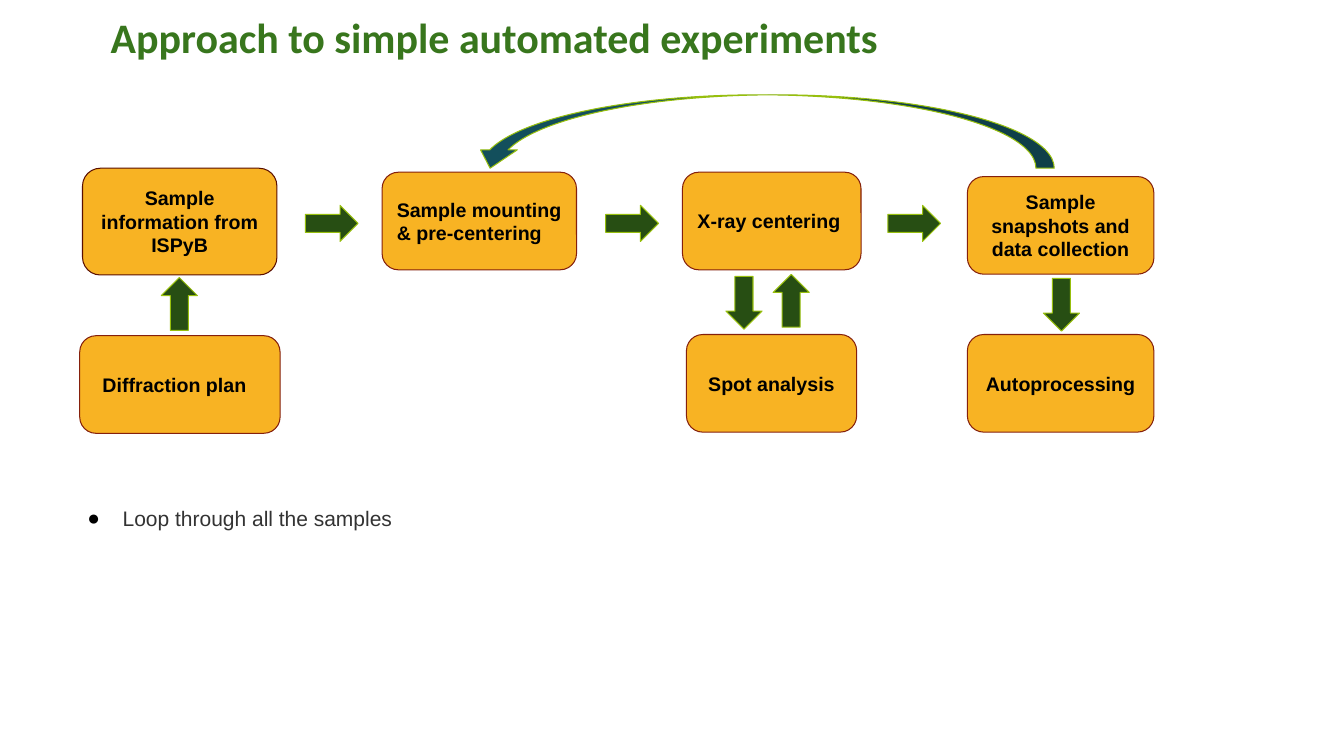
from pptx import Presentation
from pptx.dml.color import RGBColor
from pptx.enum.shapes import MSO_SHAPE
from pptx.enum.text import MSO_ANCHOR, MSO_AUTO_SIZE, PP_ALIGN
from pptx.oxml import parse_xml
from pptx.oxml.ns import nsdecls
from pptx.util import Cm, Pt

TITLE = "Approach to simple automated experiments"
BULLET = "Loop through all the samples"

THEME = {
    "title": {"name": "Calibri", "size": Pt(30), "bold": True, "color": "38761D"},
    "bullet": {"name": "Arial", "size": Pt(15), "bold": False, "color": "333333"},
    "step": {"name": "Arial", "size": Pt(14), "bold": True, "color": "000000"},
    "marker": "000000",
    "step_fill": "F8B323",
    "step_line": "85200C",
    "source_line": "5B0F00",
    "arrow_fill": "274E13",
    "loop_fill": "134F5C",
    "arrow_line": "97BF0D",
    "line_width": Pt(0.75),
}

INSET = 0.25
STEP_HEIGHT = 2.46
ARROW_LENGTH, ARROW_BREADTH = 1.33, 0.91

STEPS = [
    {"text": "Sample information from ISPyB", "at": (2.08, 4.24), "width": 4.9,
     "height": 2.69, "line": "source_line"},
    {"text": "Sample mounting & pre-centering", "at": (9.63, 4.34), "width": 4.9,
     "align": PP_ALIGN.LEFT},
    {"text": "X-ray centering", "at": (17.2, 4.34), "width": 4.5, "right": 0.39},
    {"text": "Sample snapshots and data collection", "at": (24.38, 4.45), "width": 4.7},
    {"text": "Autoprocessing", "at": (24.38, 8.43), "width": 4.7},
    {"text": "Spot analysis", "at": (17.3, 8.43), "width": 4.29},
    {"text": "Diffraction plan", "at": (2.01, 8.46), "width": 5.05, "right": 0.52},
]

ARROWS = [
    (MSO_SHAPE.RIGHT_ARROW, 8.36, 5.63),
    (MSO_SHAPE.RIGHT_ARROW, 15.93, 5.63),
    (MSO_SHAPE.RIGHT_ARROW, 23.04, 5.63),
    (MSO_SHAPE.DOWN_ARROW, 26.75, 7.68),
    (MSO_SHAPE.DOWN_ARROW, 18.75, 7.63),
    (MSO_SHAPE.UP_ARROW, 19.94, 7.58),
    (MSO_SHAPE.UP_ARROW, 4.52, 7.66),
]


def assign(target, values):
    for name, value in values.items():
        setattr(target, name, value)


def place(shape, left, top, width, height):
    assign(shape, {"left": Cm(left), "top": Cm(top),
                   "width": Cm(width), "height": Cm(height)})


def write(shape, text, style, anchor, align, margins):
    frame = shape.text_frame
    left, top, right, bottom = map(Cm, margins)
    assign(frame, {"text": text, "word_wrap": True, "auto_size": MSO_AUTO_SIZE.NONE,
                   "vertical_anchor": anchor, "margin_left": left, "margin_top": top,
                   "margin_right": right, "margin_bottom": bottom})
    para = frame.paragraphs[0]
    assign(para, {"alignment": align, "space_before": Pt(0)})
    span = para.runs[0]
    assign(span.font, {key: style[key] for key in ("name", "size", "bold")})
    span.font.color.rgb = RGBColor.from_string(style["color"])
    return para


def add_bullet(para):
    properties = para._p.get_or_add_pPr()
    properties.set("marL", str(Cm(1.27)))
    properties.set("indent", str(Cm(-0.89)))
    for markup in (
        f'<a:buClr {nsdecls("a")}><a:srgbClr val="{THEME["marker"]}"/></a:buClr>',
        f'<a:buFont {nsdecls("a")} typeface="Arial"/>',
        f'<a:buChar {nsdecls("a")} char="●"/>',
    ):
        properties.append(parse_xml(markup))


def draw(page, kind, bounds, fill, line):
    shape = page.shapes.add_shape(kind, *map(Cm, bounds))
    shape.shadow.inherit = False
    shape.fill.solid()
    shape.fill.fore_color.rgb = RGBColor.from_string(THEME[fill])
    shape.line.color.rgb = RGBColor.from_string(THEME[line])
    shape.line.width = THEME["line_width"]
    return shape


def add_step(page, step):
    bounds = (*step["at"], step["width"], step.get("height", STEP_HEIGHT))
    box = draw(page, MSO_SHAPE.ROUNDED_RECTANGLE, bounds, "step_fill",
               step.get("line", "step_line"))
    write(box, step["text"], THEME["step"], MSO_ANCHOR.MIDDLE,
          step.get("align", PP_ALIGN.CENTER),
          (INSET, INSET, step.get("right", INSET), INSET))


def add_arrow(page, kind, center_x, center_y):
    width, height = ARROW_BREADTH, ARROW_LENGTH
    if kind == MSO_SHAPE.RIGHT_ARROW:
        width, height = height, width
    bounds = (center_x - width / 2, center_y - height / 2, width, height)
    draw(page, kind, bounds, "arrow_fill", "arrow_line")


def main():
    deck = Presentation()
    assign(deck, {"slide_width": Cm(33.87), "slide_height": Cm(19.05)})
    page = deck.slides.add_slide(deck.slide_layouts[1])

    title = page.shapes.title
    place(title, 0, -0.99, 33.87, 2.69)
    write(title, TITLE, THEME["title"], MSO_ANCHOR.BOTTOM, PP_ALIGN.LEFT,
          (2.79, 0.13, INSET, 0.13))

    body = page.placeholders[1]
    place(body, 1.57, 11.89, 26.06, 2.41)
    add_bullet(write(body, BULLET, THEME["bullet"], MSO_ANCHOR.TOP, PP_ALIGN.LEFT,
                     (INSET, 0.86, INSET, INSET)))

    for step in STEPS:
        add_step(page, step)
    for arrow in ARROWS:
        add_arrow(page, *arrow)

    loop = draw(page, MSO_SHAPE.CURVED_DOWN_ARROW, (11.89, 2.39, 14.68, 1.85),
                "loop_fill", "arrow_line")
    loop._element.spPr.xfrm.set("flipH", "1")

    deck.save("out.pptx")


if __name__ == "__main__":
    main()
